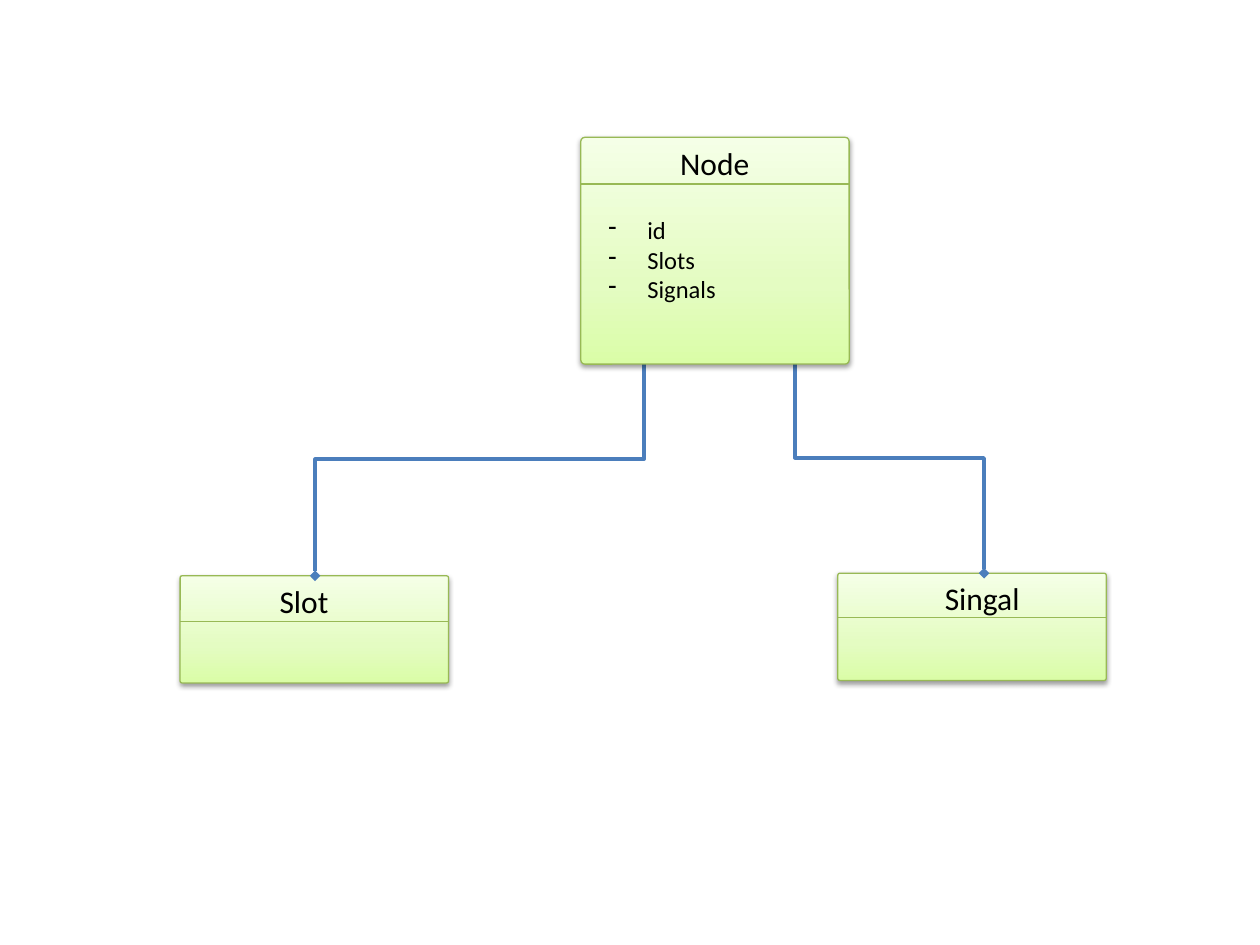
"""Build a class diagram slide in which a Node holds Slots and Signals."""
from pptx import Presentation
from pptx.dml.color import RGBColor
from pptx.enum.shapes import MSO_CONNECTOR, MSO_SHAPE
from pptx.enum.text import MSO_AUTO_SIZE
from pptx.oxml import parse_xml
from pptx.oxml.ns import nsdecls
from pptx.util import Inches, Pt

BLACK = RGBColor(0x00, 0x00, 0x00)
GREEN = RGBColor(0x98, 0xB9, 0x55)
BLUE = RGBColor(0x4B, 0x7E, 0xBC)
GRADIENT = [
    (0, RGBColor(0xDA, 0xFD, 0xA7)),
    (35, RGBColor(0xE4, 0xFC, 0xC2)),
    (100, RGBColor(0xF5, 0xFF, 0xE7)),
]
CLASS_WIDTH = 2.13
CLASSES = [
    ("Slot", 1.43, 4.57, 0.85, 0.36, (2.12, 0.59, False), []),
    ("Singal", 6.65, 4.55, 0.85, 0.35, (7.4, 0.82, True), []),
    ("Node", 4.61, 1.09, 1.8, 0.37, (5.3, 0.76, False), ["id", "Slots", "Signals"]),
]
LINKS = {
    "Slot": ((2.5, 4.57), (5.11, 2.72), 90),
    "Singal": ((7.81, 4.55), (6.31, 2.72), 270),
}


def add_text(shapes, left, top, width, height, lines, size, wrap):
    box = shapes.add_textbox(Inches(left), Inches(top), Inches(width), Inches(height))
    frame = box.text_frame
    frame.word_wrap = wrap
    frame.auto_size = MSO_AUTO_SIZE.SHAPE_TO_FIT_TEXT
    for index, line in enumerate(lines):
        para = frame.add_paragraph() if index else frame.paragraphs[0]
        span = para.add_run()
        span.text = line
        span.font.name = "Calibri"
        span.font.size = Pt(size)
        span.font.color.rgb = BLACK
    return frame


def add_line(shapes, kind, start, end, color, width):
    line = shapes.add_connector(kind, *[Inches(value) for value in (*start, *end)])
    line.line.color.rgb = color
    line.line.width = Pt(width)
    line.element.spPr.append(parse_xml(f"<a:effectLst {nsdecls('a')}/>"))
    return line


deck = Presentation()
deck.slide_width = Inches(10)
deck.slide_height = Inches(7.5)
page = deck.slides.add_slide(deck.slide_layouts[6])

for name, left, top, height, header, (title_left, title_width, wrap), members in CLASSES:
    shapes = page.shapes.add_group_shape().shapes
    card = shapes.add_shape(
        MSO_SHAPE.ROUNDED_RECTANGLE,
        Inches(left), Inches(top), Inches(CLASS_WIDTH), Inches(height),
    )
    card.adjustments[0] = 0.018
    card.fill.gradient()
    card.fill.gradient_angle = 90
    stops = "".join(
        f'<a:gs pos="{position * 1000}"><a:srgbClr val="{color}"/></a:gs>'
        for position, color in GRADIENT
    )
    properties = card.element.spPr
    stop_list = properties.find(".//{*}gsLst")
    stop_list.getparent().replace(
        stop_list, parse_xml(f"<a:gsLst {nsdecls('a')}>{stops}</a:gsLst>")
    )
    card.line.color.rgb = GREEN
    card.line.width = Pt(0.75)
    properties.append(parse_xml(
        f'<a:effectLst {nsdecls("a")}><a:outerShdw blurRad="{Pt(3.1)}" dist="{Pt(1.6)}" '
        'dir="5400000" rotWithShape="0"><a:srgbClr val="000000"><a:alpha val="38000"/>'
        "</a:srgbClr></a:outerShdw></a:effectLst>"
    ))
    divider = top + header
    add_line(shapes, MSO_CONNECTOR.STRAIGHT,
             (left, divider), (left + CLASS_WIDTH, divider), GREEN, 0.75)
    add_text(shapes, title_left, top, title_width, 0.4, [name], 18, wrap)

    if members:
        frame = add_text(shapes, 4.73, 1.66, 1.86, 0.81, members, 14, True)
        for para in frame.paragraphs:
            settings = para._p.get_or_add_pPr()
            settings.set("marL", str(Inches(0.31)))
            settings.set("indent", str(Inches(-0.31)))
            settings.append(parse_xml(f'<a:buChar {nsdecls("a")} char="-"/>'))

    if name in LINKS:
        (start_x, start_y), (end_x, end_y), turn = LINKS[name]
        center_x, center_y = (start_x + end_x) / 2, (start_y + end_y) / 2
        side = 1 if turn == 90 else -1
        reach_x = side * (start_y - center_y)
        reach_y = side * (center_x - start_x)
        link = add_line(page.shapes, MSO_CONNECTOR.ELBOW,
                        (center_x + reach_x, center_y + reach_y),
                        (center_x - reach_x, center_y - reach_y), BLUE, 2)
        link.element.spPr.find("{*}xfrm").set("rot", str(turn * 60000))
        link.line._get_or_add_ln().append(
            parse_xml(f'<a:headEnd {nsdecls("a")} type="diamond"/>')
        )

deck.save("out.pptx")
